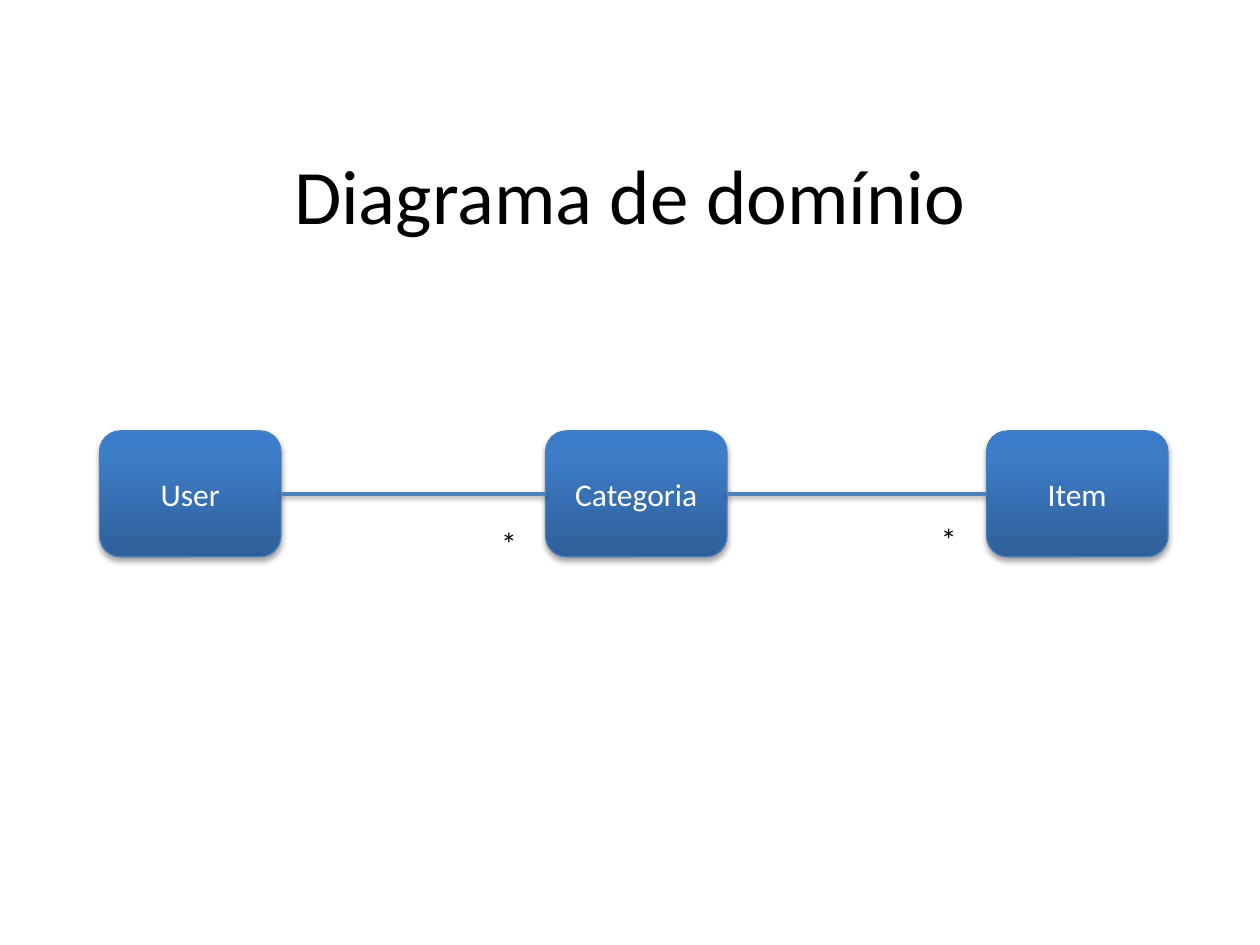
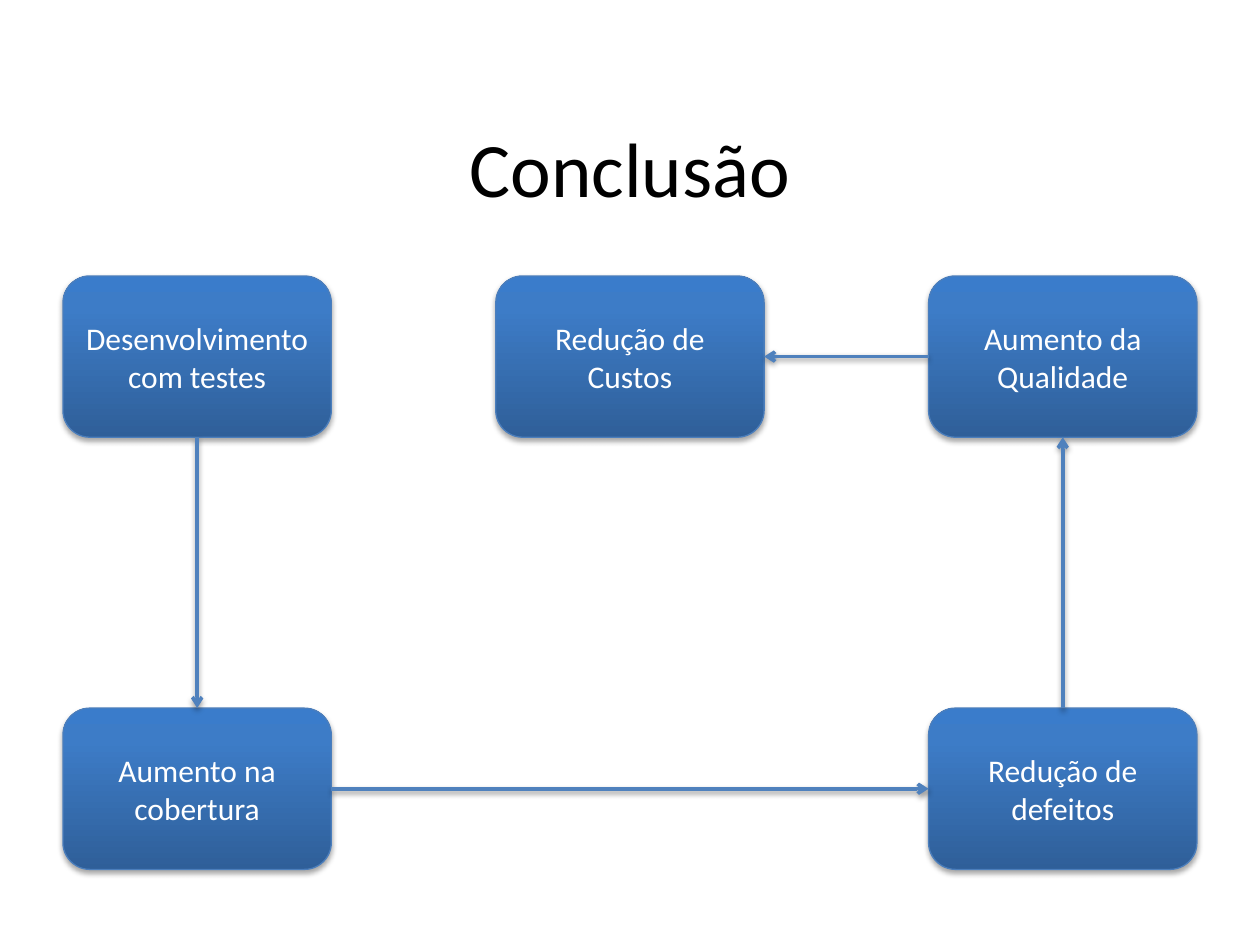
from copy import deepcopy

from pptx import Presentation
from pptx.dml.color import RGBColor
from pptx.enum.shapes import MSO_CONNECTOR, MSO_SHAPE
from pptx.enum.text import MSO_ANCHOR, MSO_AUTO_SIZE, PP_ALIGN
from pptx.oxml import parse_xml
from pptx.oxml.ns import nsdecls, qn
from pptx.util import Inches, Pt

ROUNDED = MSO_SHAPE.ROUNDED_RECTANGLE
STRAIGHT = MSO_CONNECTOR.STRAIGHT
MIDDLE = MSO_ANCHOR.MIDDLE
GROW = MSO_AUTO_SIZE.SHAPE_TO_FIT_TEXT
LEFT, CENTER = PP_ALIGN.LEFT, PP_ALIGN.CENTER
SITE_TOP, SITE_LEFT, SITE_BOTTOM, SITE_RIGHT = range(4)

BLACK = RGBColor(0x00, 0x00, 0x00)
WHITE = RGBColor(0xFF, 0xFF, 0xFF)
BOX_LINE = RGBColor(0x4B, 0x7E, 0xBC)
LINK_LINE = RGBColor(0x4F, 0x81, 0xBD)
GRADIENT = [
    (0, RGBColor(0x2F, 0x5F, 0x99)),
    (0.8, RGBColor(0x3D, 0x7C, 0xC7)),
    (1, RGBColor(0x3A, 0x7C, 0xCB)),
]
FONT = "Calibri"
SHADOW = (
    "<a:effectLst " + nsdecls("a") + '><a:outerShdw blurRad="40000" dist="{}" '
    'dir="5400000" rotWithShape="0"><a:srgbClr val="000000">'
    '<a:alpha val="{}"/></a:srgbClr></a:outerShdw></a:effectLst>'
)
ARROW = "<a:tailEnd " + nsdecls("a") + ' type="arrow"/>'


def set_text(sp, text, size, color, align):
    p = sp.text_frame.paragraphs[0]
    p.text = text
    p.alignment = align
    font = p.runs[0].font
    font.name = FONT
    font.size = Pt(size)
    font.color.rgb = color


COL, ROW = 3.435, 3.43
SLIDES = [
    {
        "title": ("Diagrama de domínio", 0.91),
        "size": (1.44, 1),
        "boxes": {
            "User": (0.79, 3.42),
            "Categoria": (4.33, 3.42),
            "Item": (7.83, 3.42),
        },
        "links": [
            ("User", SITE_RIGHT, "Categoria", SITE_LEFT),
            ("Categoria", SITE_RIGHT, "Item", SITE_LEFT),
        ],
        "arrows": False,
        "labels": [("*", 3.88, 4.11), ("*", 7.37, 4.08)],
    },
    {
        "title": ("Conclusão", 0.7),
        "size": (2.13, 1.28),
        "boxes": {
            "Desenvolvimento com testes": (0.5, 2.19),
            "Aumento na cobertura": (0.5, 2.19 + ROW),
            "Redução de defeitos": (0.5 + 2 * COL, 2.19 + ROW),
            "Aumento da Qualidade": (0.5 + 2 * COL, 2.19),
            "Redução de Custos": (0.5 + COL, 2.19),
        },
        "links": [
            ("Desenvolvimento com testes", SITE_BOTTOM, "Aumento na cobertura", SITE_TOP),
            ("Aumento na cobertura", SITE_RIGHT, "Redução de defeitos", SITE_LEFT),
            ("Redução de defeitos", SITE_TOP, "Aumento da Qualidade", SITE_BOTTOM),
            ("Aumento da Qualidade", SITE_LEFT, "Redução de Custos", SITE_RIGHT),
        ],
        "arrows": True,
        "labels": [],
    },
]

prs = Presentation()
prs.slide_width = Inches(10)
prs.slide_height = Inches(7.5)

for content in SLIDES:
    slide = prs.slides.add_slide(prs.slide_layouts[6])
    shapes = slide.shapes

    title, top = content["title"]
    sp = shapes.add_textbox(Inches(0.5), Inches(top), Inches(9), Inches(1.25))
    sp.text_frame.word_wrap = True
    sp.text_frame.vertical_anchor = MIDDLE
    set_text(sp, title, 44, BLACK, CENTER)

    boxes = {}
    width, height = content["size"]
    for text, (left, top) in content["boxes"].items():
        sp = shapes.add_shape(ROUNDED, Inches(left), Inches(top), Inches(width), Inches(height))
        sp.fill.gradient()
        sp.fill.gradient_angle = 90
        stops = sp._element.spPr.find(".//" + qn("a:gsLst"))
        stops.append(deepcopy(stops[-1]))
        for stop, (position, color) in zip(sp.fill.gradient_stops, GRADIENT):
            stop.position = position
            stop.color.rgb = color
        sp.line.color.rgb = BOX_LINE
        sp.line.width = Pt(0.75)
        sp._element.spPr.append(parse_xml(SHADOW.format(23000, 35000)))
        sp.text_frame.word_wrap = True
        sp.text_frame.vertical_anchor = MIDDLE
        set_text(sp, text, 18, WHITE, CENTER)
        boxes[text] = sp

    for start, start_site, end, end_site in content["links"]:
        link = shapes.add_connector(STRAIGHT, 0, 0, 0, 0)
        link.begin_connect(boxes[start], start_site)
        link.end_connect(boxes[end], end_site)
        link.line.color.rgb = LINK_LINE
        link.line.width = Pt(2)
        if content["arrows"]:
            link.line._get_or_add_ln().append(parse_xml(ARROW))
        link._element.spPr.append(parse_xml(SHADOW.format(20000, 38000)))

    for text, left, top in content["labels"]:
        sp = shapes.add_textbox(Inches(left), Inches(top), Inches(0.33), Inches(0.4))
        sp.text_frame.word_wrap = False
        sp.text_frame.auto_size = GROW
        set_text(sp, text, 18, BLACK, LEFT)

prs.save("out.pptx")
